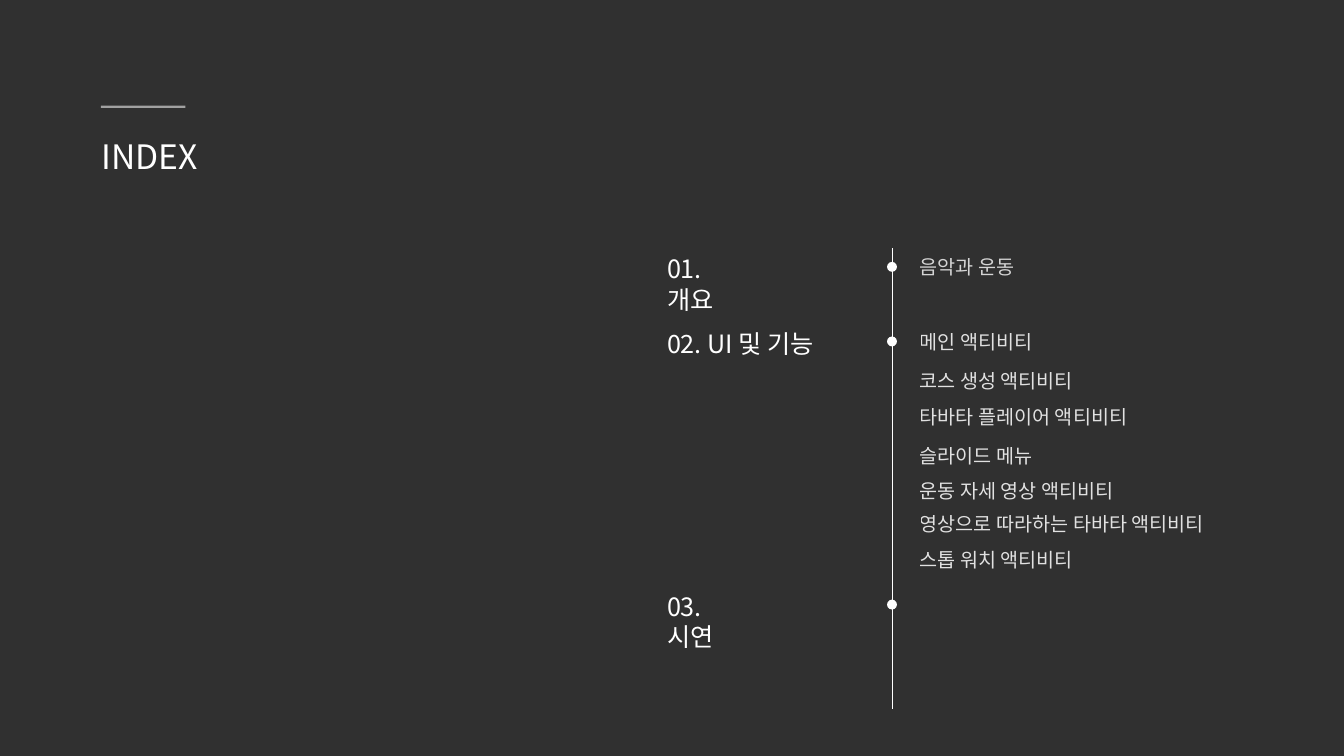
import pptx
import pptx.dml.color
import pptx.enum.shapes
import pptx.oxml
import pptx.oxml.ns
import pptx.util

Cm = pptx.util.Cm
WHITE = pptx.dml.color.RGBColor(0xFF, 0xFF, 0xFF)
CHARCOAL = pptx.dml.color.RGBColor(0x30, 0x30, 0x30)
FONT = "Noto Sans CJK KR"
DOT = 0.25
SECTIONS = [
    ("01. 개요", 0.02, 2.5),
    ("02. UI 및 기능", 1.9, 4.5),
    ("03. 시연", 8.53, 2.5),
]
TOPICS = [
    ("음악과 운동", 0.05, 3.12, 80),
    ("메인 액티비티", 1.95, 3.63, 85),
    ("코스 생성 액티비티", 2.92, 4.75, 85),
    ("타바타 플레이어 액티비티", 3.83, 6.25, 85),
    ("슬라이드 메뉴", 4.82, 3.63, 85),
    ("운동 자세 영상 액티비티", 5.69, 5.87, 85),
    ("영상으로 따라하는 타바타 액티비티", 6.53, 8.36, 85),
    ("스톱 워치 액티비티", 7.42, 4.75, 85),
]


def add_child(parent, tag, **attributes):
    child = pptx.oxml.parse_xml(f"<{tag} {pptx.oxml.ns.nsdecls('a')}/>")
    for name, value in attributes.items():
        child.set(name, value)
    parent.append(child)


def set_opacity(element, percent):
    for color in element.iter(pptx.oxml.ns.qn("a:srgbClr")):
        add_child(color, "a:alpha", val=str(percent * 1000))


def add_text(page, box, text, size, wrap=False, opacity=100):
    frame = page.shapes.add_textbox(*map(Cm, box)).text_frame
    frame.word_wrap = wrap
    span = frame.paragraphs[0].add_run()
    span.text = text
    for name, value in {"size": pptx.util.Pt(size), "name": FONT}.items():
        setattr(span.font, name, value)
    span.font.color.rgb = WHITE
    properties = span.font._element
    add_child(properties, "a:ea", typeface=FONT)
    if opacity < 100:
        set_opacity(properties, opacity)


def add_line(page, start, end, width, opacity=100):
    line = page.shapes.add_connector(
        pptx.enum.shapes.MSO_CONNECTOR.STRAIGHT, *map(Cm, start + end))
    line.line.color.rgb = WHITE
    line.line.width = pptx.util.Pt(width)
    if opacity < 100:
        set_opacity(line._element.spPr, opacity)
    add_child(line._element.spPr, "a:effectLst")


def add_dot(page, left, top):
    dot = page.shapes.add_shape(
        pptx.enum.shapes.MSO_SHAPE.OVAL, *map(Cm, (left, top, DOT, DOT)))
    dot.shadow.inherit = False
    dot.fill.solid()
    dot.fill.fore_color.rgb = WHITE
    dot.line.fill.background()


def add_title(page, left, top):
    add_line(page, (left, top), (left + 2.13, top), 1.5, 55)
    add_text(page, (left - 0.23, top + 0.61, 3.12, 1.27), "INDEX", 24)


def add_timeline(page, left, top, height):
    axis = left + 5.92
    add_line(page, (axis, top), (axis, top + height), 0.5)
    for text, offset, width in SECTIONS:
        add_text(page, (left, top + offset, width, 1.02), text, 18, wrap=True)
        add_dot(page, axis - DOT / 2, top + offset + 0.33)
    for text, offset, width, opacity in TOPICS:
        box = (axis + 0.45, top + offset, width, 0.86)
        add_text(page, box, text, 14, opacity=opacity)


def main():
    deck = pptx.Presentation()
    deck.slide_width, deck.slide_height = Cm(33.87), Cm(19.05)
    page = deck.slides.add_slide(deck.slide_layouts[6])
    page.background.fill.solid()
    page.background.fill.fore_color.rgb = CHARCOAL
    add_title(page, 2.54, 2.69)
    add_timeline(page, 16.56, 6.25, 11.61)
    deck.save("out.pptx")


if __name__ == "__main__":
    main()
